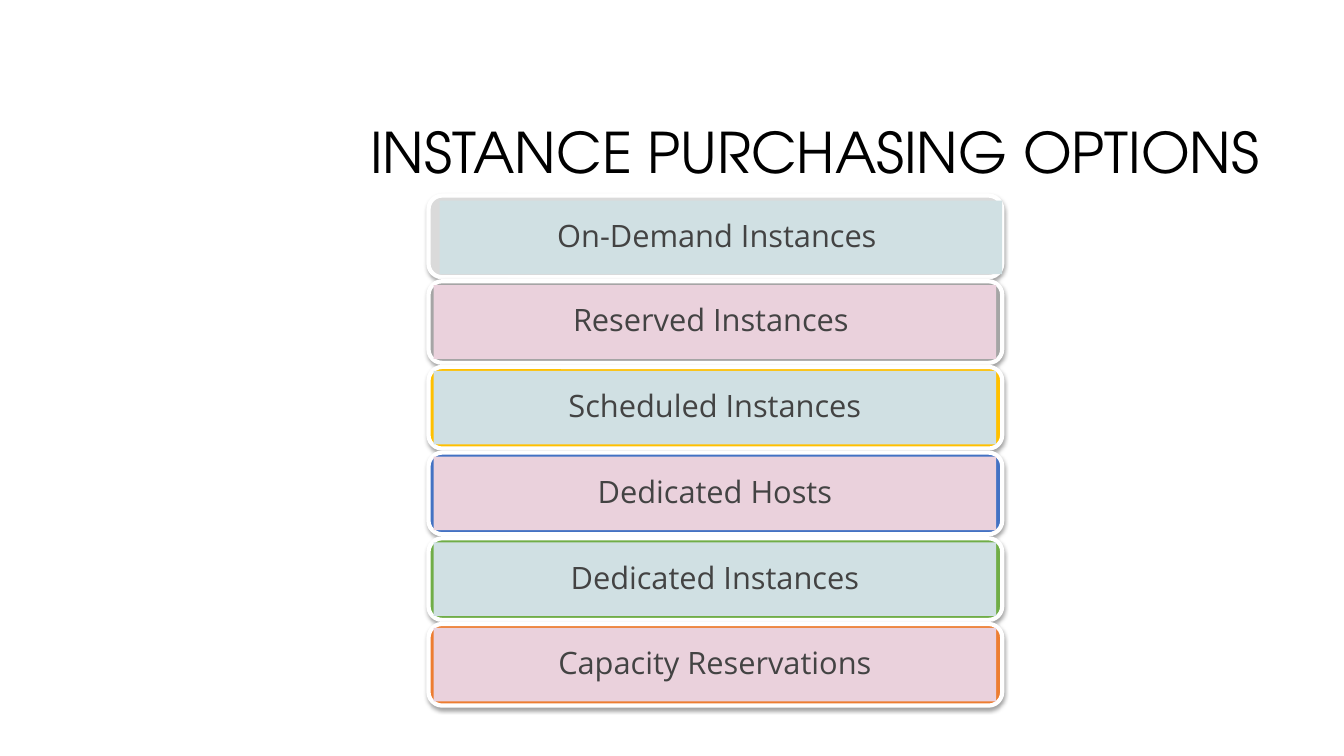
"""Build a slide listing the instance purchasing options as stacked bars."""
from lxml import etree
from pptx import Presentation
from pptx.dml.color import RGBColor
from pptx.enum import shapes, text
from pptx.oxml import ns
from pptx.util import Inches, Pt

BLACK = RGBColor(0x00, 0x00, 0x00)
WHITE = RGBColor(0xFF, 0xFF, 0xFF)
DARK = RGBColor(0x43, 0x43, 0x43)
TEAL = RGBColor(0xD0, 0xE0, 0xE3)
PINK = RGBColor(0xEA, 0xD1, 0xDC)
LIGHT_GRAY = RGBColor(0xDA, 0xDA, 0xDA)
GRAY = RGBColor(0xA5, 0xA5, 0xA5)
GOLD = RGBColor(0xFF, 0xC0, 0x00)
BLUE = RGBColor(0x43, 0x72, 0xC3)
GREEN = RGBColor(0x70, 0xAD, 0x47)
ORANGE = RGBColor(0xED, 0x7D, 0x31)

SHADOW = (
    f'<a:effectLst {ns.nsdecls("a")}>'
    f'<a:outerShdw blurRad="{Pt(3.1)}" dist="{Pt(1.6)}" dir="5400000" algn="ctr" rotWithShape="0">'
    '<a:srgbClr val="000000"><a:alpha val="36000"/></a:srgbClr>'
    '</a:outerShdw></a:effectLst>'
)


def set_text(sp, wording, font, size, color, align):
    tf = sp.text_frame
    tf.word_wrap = True
    tf.vertical_anchor = text.MSO_ANCHOR.MIDDLE
    p = tf.paragraphs[0]
    p.text = wording
    p.alignment = align
    p.line_spacing = 0.9
    p.font.name = font
    p.font.size = Pt(size)
    p.font.color.rgb = color


prs = Presentation()
prs.slide_width = Inches(13.33)
prs.slide_height = Inches(7.5)
s = prs.slides.add_slide(prs.slide_layouts[6])

title = s.shapes.add_textbox(Inches(3.17), Inches(0.84), Inches(9.42), Inches(1.41))
set_text(title, "INSTANCE PURCHASING OPTIONS", "TeX Gyre Adventor", 40, BLACK, text.PP_ALIGN.RIGHT)

options = [
    ("On-Demand Instances ", LIGHT_GRAY),
    ("Reserved Instances ", GRAY),
    ("Scheduled Instances", GOLD),
    ("Dedicated Hosts", BLUE),
    ("Dedicated Instances", GREEN),
    ("Capacity Reservations", ORANGE),
]
for i, (option, accent) in enumerate(options):
    top = 1.94 + 0.85 * i
    frame = s.shapes.add_shape(shapes.MSO_SHAPE.ROUNDED_RECTANGLE,
                               Inches(4.25), Inches(top), Inches(5.69), Inches(0.81))
    frame.fill.solid()
    frame.fill.fore_color.rgb = accent
    frame.line.color.rgb = WHITE
    frame.line.width = Pt(3)
    frame._element.spPr.append(etree.fromstring(SHADOW))

    label_left, label_top = (4.36, top + 0.05) if i == 0 else (4.3, top + 0.04)
    label = s.shapes.add_shape(shapes.MSO_SHAPE.RECTANGLE,
                               Inches(label_left), Inches(label_top), Inches(5.58), Inches(0.73))
    label.shadow.inherit = False
    label.fill.solid()
    label.fill.fore_color.rgb = TEAL if i % 2 == 0 else PINK
    label.line.fill.background()
    label.text_frame.margin_left = label.text_frame.margin_right = Inches(0.11)
    set_text(label, option, "Open Sans", 22, DARK, text.PP_ALIGN.CENTER)

prs.save("out.pptx")
